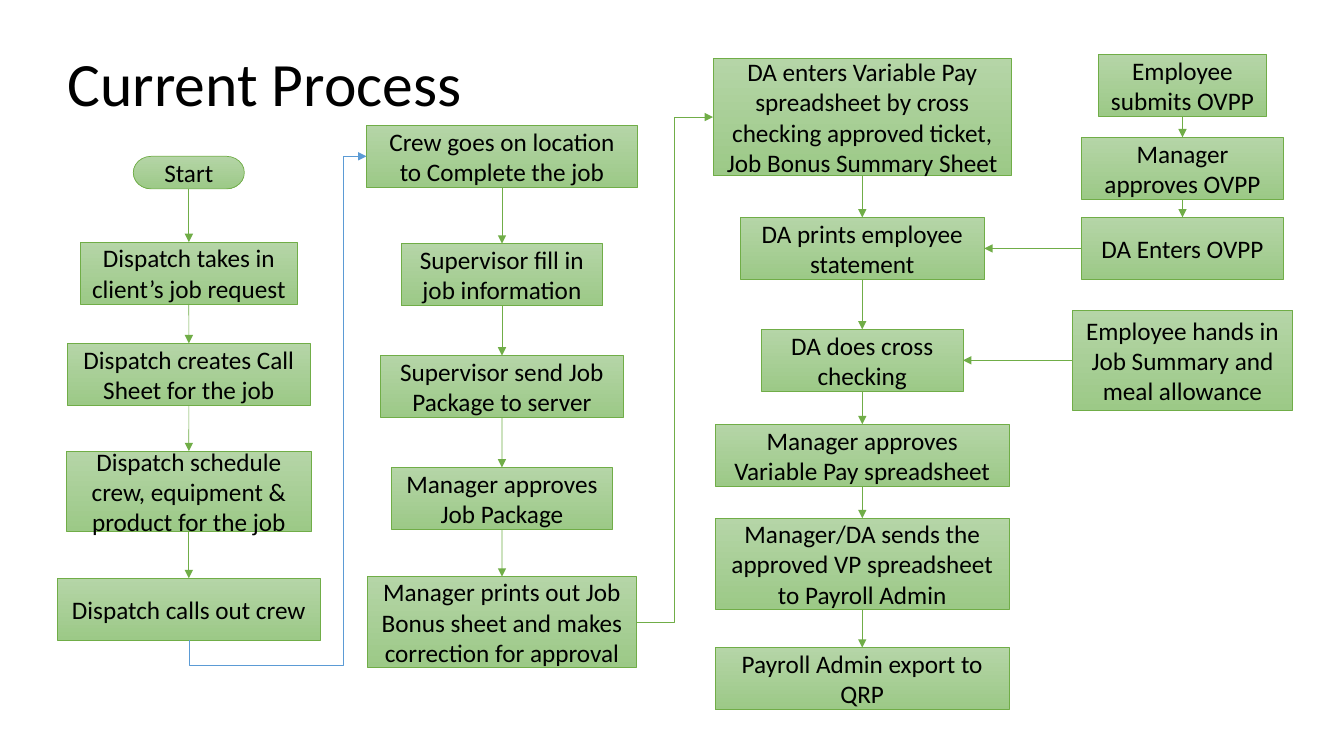
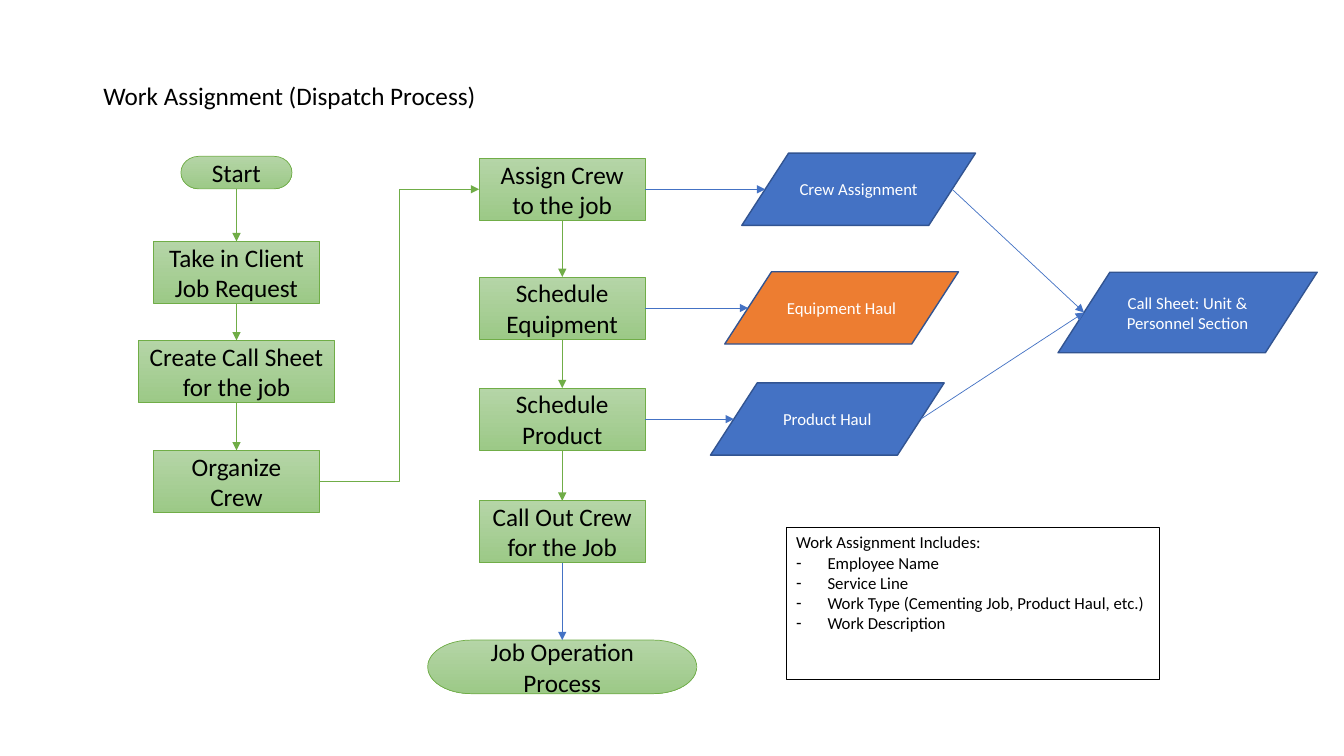
"""Build two process flowcharts: the current process and the work assignment."""
from dataclasses import dataclass
from itertools import pairwise

from lxml import etree
from pptx import Presentation
from pptx import util as u
from pptx.dml.color import RGBColor
from pptx.enum import shapes, text
from pptx.oxml.ns import qn

TOP, LEFT, BOTTOM, RIGHT = range(4)
PROCESS = shapes.MSO_SHAPE.FLOWCHART_PROCESS
TERMINATOR = shapes.MSO_SHAPE.FLOWCHART_TERMINATOR
DATA = shapes.MSO_SHAPE.FLOWCHART_DATA


@dataclass(frozen=True)
class Theme:
    font: str = "Calibri"
    ink: str = "000000"
    paper: str = "FFFFFF"
    green: str = "70AD47"
    green_top: str = "B5D5A7"
    green_bottom: str = "9CC987"
    sky: str = "5B9BD5"
    blue: str = "4472C4"
    navy: str = "325491"
    orange: str = "ED7D31"
    title_size: float = 44
    step_size: float = 18
    small_size: float = 12
    thin: float = 0.5
    frame: float = 0.75
    outline: float = 1


@dataclass(frozen=True)
class Step:
    label: str
    top: float
    width: float
    height: float = 1.56
    kind: shapes.MSO_SHAPE = PROCESS


@dataclass(frozen=True)
class DataStep:
    label: str
    center: float
    top: float
    width: float = 5.89
    height: float = 1.82
    color: str = Theme.blue


THEME = Theme()

JOB_STEPS = (
    Step("Start", 3.94, 2.8, 0.82, TERMINATOR),
    Step("Dispatch takes in client’s job request", 6.1, 5.46),
    Step("Dispatch creates Call Sheet for the job", 8.65, 6.1),
    Step("Dispatch schedule crew, equipment & product for the job", 11.37, 6.16, 2.02),
    Step("Dispatch calls out crew", 14.57, 6.63),
)
PACKAGE_STEPS = (
    Step("Crew goes on location to Complete the job", 3.16, 6.83),
    Step("Supervisor fill in job information", 6.14, 5.08),
    Step("Supervisor send Job Package to server", 8.96, 6.12),
    Step("Manager approves Job Package", 11.78, 5.56),
    Step("Manager prints out Job Bonus sheet and makes correction for approval", 14.53, 6.76, 2.29),
)
PAY_STEPS = (
    Step("DA enters Variable Pay spreadsheet by cross checking approved ticket, "
         "Job Bonus Summary Sheet", 1.47, 7.52, 2.96),
    Step("DA prints employee statement", 5.48, 6.15),
    Step("DA does cross checking", 8.3, 5.08),
    Step("Manager approves Variable Pay spreadsheet", 10.69, 7.42),
    Step("Manager/DA sends the approved VP spreadsheet to Payroll Admin", 13.06, 7.42, 2.29),
    Step("Payroll Admin export to QRP", 16.32, 7.42),
)
OVPP_STEPS = (
    Step("Employee submits OVPP", 1.37, 4.22),
    Step("Manager approves OVPP", 3.46, 5.08),
    Step("DA Enters OVPP", 5.48, 5.08),
)
HAND_IN_STEPS = (
    Step("Employee hands in Job Summary and meal allowance", 7.82, 5.56, 2.52),
)
REQUEST_STEPS = (
    Step("Start", 3.94, 2.8, 0.82, TERMINATOR),
    Step("Take in Client Job Request", 6.08, 4.19),
    Step("Create Call Sheet for the job", 8.58, 4.93),
    Step("Organize Crew", 11.35, 4.19),
)
CREW_STEPS = (
    Step("Assign Crew to the job", 3.99, 4.19),
    Step("Schedule Equipment", 6.98, 4.19),
    Step("Schedule Product", 9.78, 4.19),
    Step("Call Out Crew for the Job", 12.62, 4.19),
)
JOB_OPERATION = (Step("Job Operation Process", 16.13, 6.78, 1.35, TERMINATOR),)
RECORDS = (
    DataStep("Crew Assignment", 21.64, 3.86),
    DataStep("Equipment Haul", 21.21, 6.85, color=THEME.orange),
    DataStep("Product Haul", 20.85, 9.65),
)
CALL_SHEET = DataStep("Call Sheet: Unit & Personnel Section", 29.93, 6.86, 6.53, 2.03)
ASSIGNMENT_FIELDS = (
    "Employee Name",
    "Service Line",
    "Work Type (Cementing Job, Product Haul, etc.)",
    "Work Description",
)


def write(para, words: str, *, size: float = THEME.step_size, color: str = THEME.ink,
          align=text.PP_ALIGN.CENTER) -> None:
    """Put formatted text into a paragraph."""
    para.alignment = align
    para.space_before = u.Pt(0)
    span = para.add_run()
    span.text = words
    span.font.name = THEME.font
    span.font.size = u.Pt(size)
    span.font.color.rgb = RGBColor.from_string(color)


def set_bullet(para, mark: str | None, indent: float) -> None:
    """Give a paragraph a hanging bullet, or none."""
    props = para._p.get_or_add_pPr()
    props.set("marL", str(int(u.Cm(indent))))
    props.set("indent", str(-int(u.Cm(indent))))
    if mark:
        etree.SubElement(props, qn("a:buChar")).set("char", mark)
    else:
        etree.SubElement(props, qn("a:buNone"))


def place(box, left: float, top: float, width: float, height: float) -> None:
    """Move a placeholder and let its text start at the top."""
    box.left, box.top, box.width, box.height = map(u.Cm, (left, top, width, height))
    frame = box.text_frame
    frame.word_wrap = True
    frame.auto_size = text.MSO_AUTO_SIZE.NONE
    frame.vertical_anchor = text.MSO_ANCHOR.TOP


def set_line(item, color: str, width: float) -> None:
    """Set the line colour and width of a shape or connector."""
    item.line.color.rgb = RGBColor.from_string(color)
    item.line.width = u.Pt(width)


def add_box(page, kind, center: float, top: float, width: float, height: float):
    """Add a shape centred on a column, without shadow."""
    box = page.shapes.add_shape(kind, u.Cm(center - width / 2), u.Cm(top),
                                u.Cm(width), u.Cm(height))
    box.shadow.inherit = False
    box.text_frame.word_wrap = True
    box.text_frame.vertical_anchor = text.MSO_ANCHOR.MIDDLE
    return box


def add_step(page, center: float, step: Step):
    """Add one green step."""
    box = add_box(page, step.kind, center, step.top, step.width, step.height)
    box.fill.gradient()
    box.fill.gradient_angle = 270
    for stop, color in zip(box.fill.gradient_stops, (THEME.green_top, THEME.green_bottom)):
        stop.color.rgb = RGBColor.from_string(color)
    set_line(box, THEME.green, THEME.thin)
    write(box.text_frame.paragraphs[0], step.label)
    return box


def add_record(page, record: DataStep):
    """Add one data parallelogram."""
    box = add_box(page, DATA, record.center, record.top, record.width, record.height)
    box.fill.solid()
    box.fill.fore_color.rgb = RGBColor.from_string(record.color)
    set_line(box, THEME.navy, THEME.outline)
    write(box.text_frame.paragraphs[0], record.label, size=THEME.small_size, color=THEME.paper)
    return box


def slant_x(box, side: int) -> int:
    """Return the x of the middle of a parallelogram's slanted side."""
    return int(box.left + box.width * (0.1 if side == LEFT else 0.9))


def link(page, start, end, *, sides: tuple[int, int] = (BOTTOM, TOP),
         color: str = THEME.green, kind=shapes.MSO_CONNECTOR.STRAIGHT):
    """Join two boxes with an arrow."""
    arrow = page.shapes.add_connector(kind, 0, 0, 0, 0)
    arrow.begin_connect(start, sides[0])
    arrow.end_connect(end, sides[1])
    if start.auto_shape_type == DATA:
        arrow.begin_x = slant_x(start, sides[0])
    if end.auto_shape_type == DATA:
        arrow.end_x = slant_x(end, sides[1])
    set_line(arrow, color, THEME.thin)
    props = arrow.element.spPr
    etree.SubElement(props.find(qn("a:ln")), qn("a:tailEnd")).set("type", "triangle")
    etree.SubElement(props, qn("a:effectLst"))
    return arrow


def route_below(arrow, drop: float, lane: float) -> None:
    """Bend an arrow below its start, then up a lane and into a left side."""
    across = arrow.end_x - arrow.begin_x
    rise = arrow.begin_y - arrow.end_y
    middle_x = (arrow.begin_x + arrow.end_x) // 2
    middle_y = (arrow.begin_y + arrow.end_y) // 2
    bends = (-u.Cm(drop) / rise, (u.Cm(lane) - arrow.begin_x) / across)
    arrow.left, arrow.top = middle_x - rise // 2, middle_y - across // 2
    arrow.width, arrow.height = rise, across
    props = arrow.element.spPr
    frame = props.find(qn("a:xfrm"))
    for name, value in (("rot", "5400000"), ("flipH", "1"), ("flipV", "1")):
        frame.set(name, value)
    geometry = props.find(qn("a:prstGeom"))
    geometry.set("prst", "bentConnector4")
    guides = geometry.find(qn("a:avLst"))
    for number, bend in enumerate(bends, 1):
        guide = etree.SubElement(guides, qn("a:gd"))
        guide.set("name", f"adj{number}")
        guide.set("fmla", f"val {round(bend * 100000)}")


def add_column(page, center: float, steps: tuple[Step, ...]) -> list:
    """Stack steps on one centre and join each to the next."""
    boxes = [add_step(page, center, step) for step in steps]
    for start, end in pairwise(boxes):
        link(page, start, end)
    return boxes


def add_page(deck, layout: int, title: str, size: float, area: tuple[float, ...]):
    """Add a slide with a left-aligned title."""
    page = deck.slides.add_slide(deck.slide_layouts[layout])
    place(page.shapes.title, *area)
    write(page.shapes.title.text_frame.paragraphs[0], title, size=size, align=text.PP_ALIGN.LEFT)
    return page


def build_current_process(deck) -> None:
    """Draw the current process from dispatch to payroll."""
    page = add_page(deck, 5, "Current Process", THEME.title_size, (1.45, 1, 10.6, 2.13))
    job = add_column(page, 4.76, JOB_STEPS)
    package = add_column(page, 12.65, PACKAGE_STEPS)
    pay = add_column(page, 21.73, PAY_STEPS)
    ovpp = add_column(page, 29.8, OVPP_STEPS)
    hand_in = add_column(page, 29.8, HAND_IN_STEPS)
    elbow = shapes.MSO_CONNECTOR.ELBOW
    route_below(link(page, job[-1], package[0], sides=(BOTTOM, LEFT), color=THEME.sky, kind=elbow),
                drop=0.64, lane=8.65)
    link(page, package[-1], pay[0], sides=(RIGHT, LEFT), kind=elbow)
    link(page, ovpp[-1], pay[1], sides=(LEFT, RIGHT))
    link(page, hand_in[0], pay[2], sides=(LEFT, RIGHT))


def build_work_assignment(deck) -> None:
    """Draw the dispatch process with its records and field list."""
    page = add_page(deck, 1, "Work Assignment (Dispatch Process)", THEME.step_size,
                    (2.35, 1.9, 10, 1.03))
    request = add_column(page, 5.96, REQUEST_STEPS)
    crew = add_column(page, 14.17, CREW_STEPS)
    operation = add_column(page, 14.17, JOB_OPERATION)
    records = [add_record(page, record) for record in RECORDS]
    call_sheet = add_record(page, CALL_SHEET)
    across = (RIGHT, LEFT)
    link(page, request[-1], crew[0], sides=across, kind=shapes.MSO_CONNECTOR.ELBOW)
    link(page, crew[-1], operation[0], color=THEME.blue)
    for step, record in zip(crew, records):
        link(page, step, record, sides=across, color=THEME.blue)
    for record in (records[0], records[-1]):
        link(page, record, call_sheet, sides=across, color=THEME.blue)

    body = page.placeholders[1]
    place(body, 19.81, 13.28, 9.4, 3.84)
    set_line(body, THEME.ink, THEME.frame)
    frame = body.text_frame
    for number, words in enumerate(("Work Assignment Includes:", *ASSIGNMENT_FIELDS)):
        para = frame.add_paragraph() if number else frame.paragraphs[0]
        write(para, words, size=THEME.small_size, align=text.PP_ALIGN.LEFT)
        set_bullet(para, "-" if number else None, 0.79 if number else 0)


def main() -> None:
    """Build and save the deck."""
    deck = Presentation()
    deck.slide_width, deck.slide_height = u.Cm(33.87), u.Cm(19.05)
    build_current_process(deck)
    build_work_assignment(deck)
    deck.save("out.pptx")


if __name__ == "__main__":
    main()
